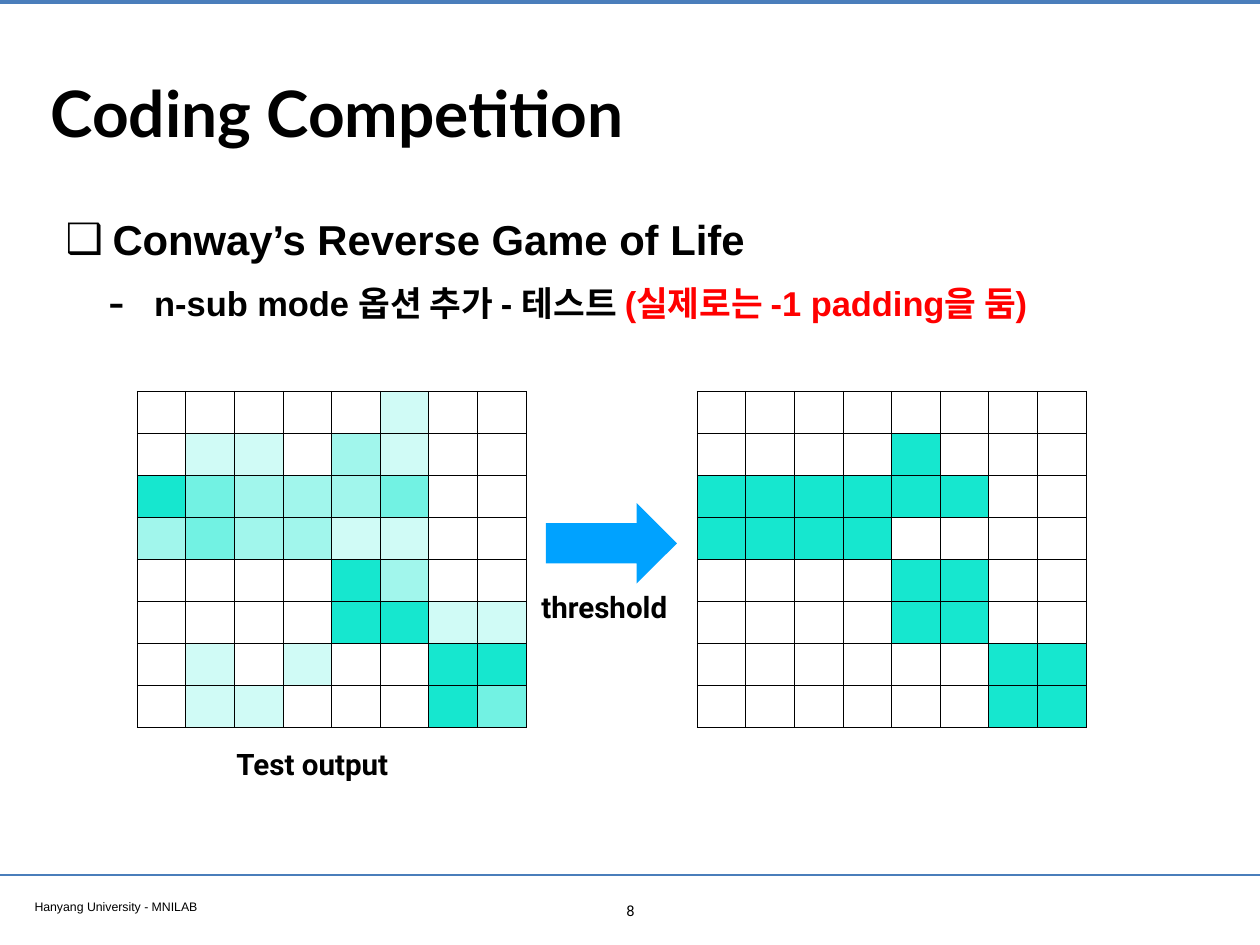
from dataclasses import dataclass

from lxml import etree
from pptx import Presentation
from pptx.dml.color import RGBColor
from pptx.enum.shapes import MSO_CONNECTOR as Connector, MSO_SHAPE as Shape
from pptx.enum.text import MSO_ANCHOR as Anchor, MSO_AUTO_SIZE as AutoSize, PP_ALIGN as Align
from pptx.oxml.ns import qn
from pptx.util import Inches, Pt


@dataclass(frozen=True)
class Theme:
    ink: str = "000000"
    alert: str = "FF0000"
    rule: str = "4A7EBB"
    arrow: str = "00A2FF"
    shades: tuple = (None, "D0FBF6", "A1F6EC", "72F2E3", "16E7CF")
    title_font: str = "Lato"
    body_font: str = "Arial"
    label_font: str = "Roboto"
    title_size: int = 52
    heading_size: int = 34
    item_size: int = 28
    label_size: int = 24
    number_size: int = 12
    footer_size: int = 10
    inset: float = 0.06


def add_xml(parent, tag, **attributes):
    return etree.SubElement(parent, qn(tag), attributes)


class SlideBuilder:
    def __init__(self, page, theme):
        self.page, self.theme = page, theme

    def place(self, shape, left, top, width, height):
        shape.left, shape.top = Inches(left), Inches(top)
        shape.width, shape.height = Inches(width), Inches(height)

    def frame(self, box, anchor=Anchor.TOP, wrap=True):
        frame = box.text_frame
        frame.auto_size = AutoSize.NONE
        frame.word_wrap = wrap
        frame.vertical_anchor = anchor
        for side in ("left", "right", "top", "bottom"):
            setattr(frame, f"margin_{side}", Inches(self.theme.inset))
        return frame

    def span(self, para, text, font, size, bold=False, color=None):
        span = para.add_run()
        span.text = text
        span.font.name, span.font.size, span.font.bold = font, Pt(size), bold
        span.font.color.rgb = RGBColor.from_string(color or self.theme.ink)

    def title(self, text, *place):
        box = self.page.shapes.title
        self.place(box, *place)
        para = self.frame(box, Anchor.MIDDLE).paragraphs[0]
        para.alignment = Align.LEFT
        self.span(para, text, self.theme.title_font, self.theme.title_size, True)

    def body(self, items, *place):
        box = self.page.placeholders[1]
        self.place(box, *place)
        frame = self.frame(box)
        for level, (mark, mark_size, indent, hanging, size, spans) in enumerate(items):
            para = frame.add_paragraph() if level else frame.paragraphs[0]
            para.level = level
            para.line_spacing = 1.2
            para.space_before = Pt(8 if level else 0)
            props = para._p.get_or_add_pPr()
            props.set("marL", str(Inches(indent)))
            props.set("indent", str(-Inches(hanging)))
            add_xml(props, "a:buSzPct", val=str(mark_size * 1000))
            add_xml(props, "a:buFont", typeface=self.theme.body_font)
            add_xml(props, "a:buChar", char=mark)
            for text, color in spans:
                self.span(para, text, self.theme.body_font, size, True, color)

    def label(self, text, place, font, size, bold=False, align=Align.CENTER,
              anchor=Anchor.TOP, wrap=True):
        box = self.page.shapes.add_textbox(*map(Inches, place))
        para = self.frame(box, anchor, wrap).paragraphs[0]
        para.alignment = align
        self.span(para, text, font, size, bold)

    def caption(self, text, *place):
        self.label(text, place, self.theme.label_font, self.theme.label_size,
                   bold=True, anchor=Anchor.MIDDLE, wrap=False)

    def rule(self, top, weight, width):
        line = self.page.shapes.add_connector(
            Connector.STRAIGHT, 0, Inches(top), Inches(width), Inches(top))
        line.line.color.rgb = RGBColor.from_string(self.theme.rule)
        line.line.width = Pt(weight)
        add_xml(line._element.spPr, "a:effectLst")

    def arrow(self, *place):
        shape = self.page.shapes.add_shape(Shape.RIGHT_ARROW, *map(Inches, place))
        shape.shadow.inherit = False
        shape.fill.solid()
        shape.fill.fore_color.rgb = RGBColor.from_string(self.theme.arrow)
        shape.line.fill.background()

    def borders(self, cell):
        props = cell._tc.get_or_add_tcPr()
        for position, side in enumerate(("a:lnL", "a:lnR", "a:lnT", "a:lnB")):
            edge = etree.Element(qn(side), w=str(Pt(1)))
            add_xml(add_xml(edge, "a:solidFill"), "a:srgbClr", val=self.theme.ink)
            props.insert(position, edge)

    def grid(self, pattern, *place):
        """Each digit of the pattern picks one of the theme's shades."""
        rows, cols = len(pattern), len(pattern[0])
        table = self.page.shapes.add_table(rows, cols, *map(Inches, place)).table
        table.first_row = table.horz_banding = False
        for column in table.columns:
            column.width = Inches(place[2] / cols)
        for row, digits in zip(table.rows, pattern):
            row.height = Inches(place[3] / rows)
            for cell, digit in zip(row.cells, digits):
                shade = self.theme.shades[int(digit)]
                if shade:
                    cell.fill.solid()
                    cell.fill.fore_color.rgb = RGBColor.from_string(shade)
                else:
                    cell.fill.background()
                self.borders(cell)


TEST_OUTPUT = ("00000100", "01102100", "43222300", "23221100",
               "00004200", "00004411", "01010044", "01100043")
THRESHOLDED = ("00000000", "00004000", "44444400", "44440000",
               "00004400", "00004400", "00000044", "00000044")


def main():
    theme = Theme()
    deck = Presentation()
    deck.slide_width, deck.slide_height = Inches(14.22), Inches(10.67)
    slide = SlideBuilder(deck.slides.add_slide(deck.slide_layouts[1]), theme)

    # Rules and footer
    slide.rule(0.02, 3.2, 14.22)
    slide.rule(9.88, 2, 14.22)
    slide.label("Hanyang University - MNILAB", (0.33, 10.09, 5.46, 0.26),
                theme.body_font, theme.footer_size, align=Align.LEFT)
    slide.label("8", (6.92, 10.12, 0.39, 0.31), theme.label_font, theme.number_size)

    # Title and list
    slide.title("Coding Competition", 0.51, 0.28, 13.21, 1.97)
    slide.body([
        ("❑", 100, 0.53, 0.53, theme.heading_size,
         [("Conway’s Reverse Game of Life", theme.ink)]),
        ("-", 145, 1, 0.52, theme.item_size,
         [("n-sub mode 옵션 추가 - 테스트 ", theme.ink),
          ("(실제로는 -1 padding을 둠)", theme.alert)]),
    ], 0.68, 2.24, 13.03, 1.78)

    # Grids before and after the threshold
    for pattern, left in ((TEST_OUTPUT, 1.55), (THRESHOLDED, 7.87)):
        slide.grid(pattern, left, 4.42, 4.39, 3.8)
    slide.arrow(6.16, 5.68, 1.48, 0.91)
    slide.caption("threshold", 6, 6.59, 1.64, 0.52)
    slide.caption("Test output", 2.53, 8.36, 1.99, 0.52)

    deck.save("out.pptx")


if __name__ == "__main__":
    main()
